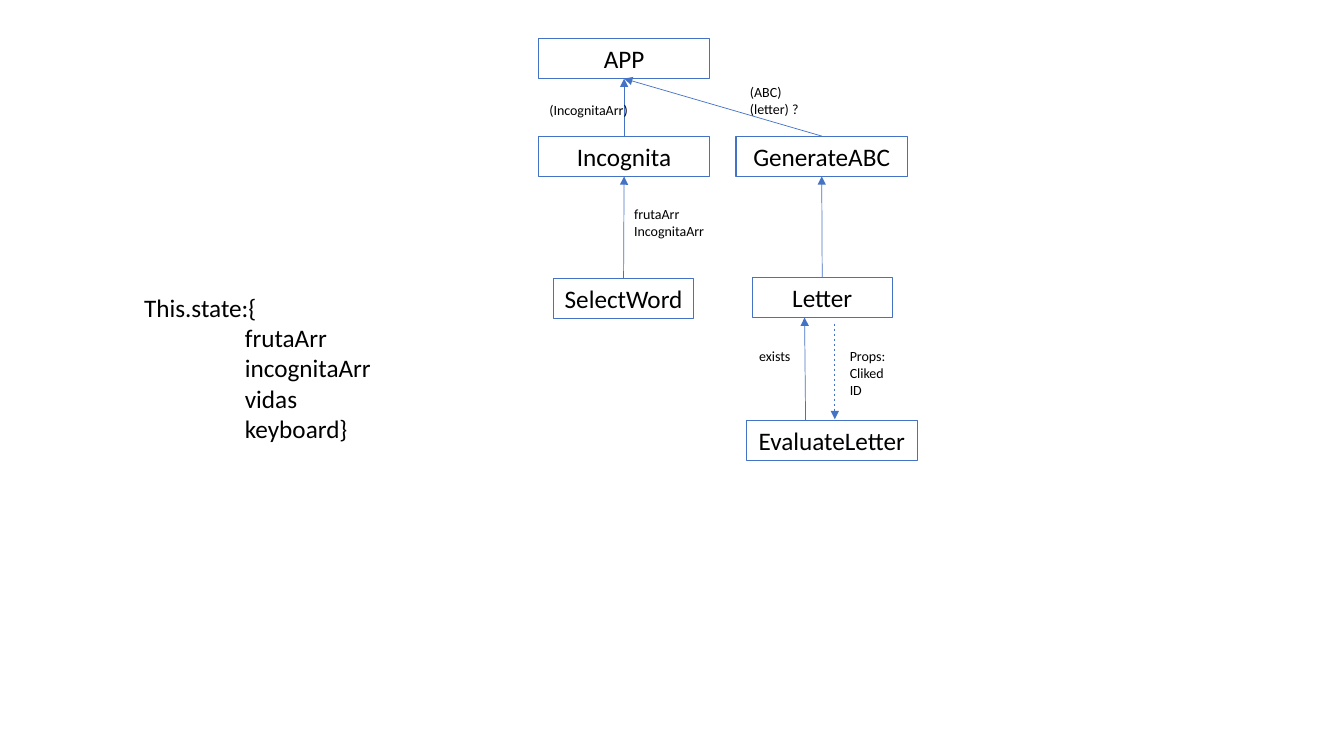
from dataclasses import dataclass

from lxml.etree import SubElement
from pptx import Presentation
from pptx.dml.color import RGBColor
from pptx.enum.dml import MSO_LINE
from pptx.enum.shapes import MSO_CONNECTOR, MSO_SHAPE
from pptx.enum.text import MSO_ANCHOR, PP_ALIGN
from pptx.oxml.ns import qn
from pptx.util import Inches, Pt

TOP, BOTTOM = 0, 2  # connection sites of a rectangle


@dataclass(frozen=True)
class Theme:
    font: str = "Calibri"
    text: RGBColor = RGBColor(0x00, 0x00, 0x00)
    accent: RGBColor = RGBColor(0x44, 0x72, 0xC4)
    body_size: Pt = Pt(18)
    label_size: Pt = Pt(10)
    box_line: Pt = Pt(0.75)
    arrow_line: Pt = Pt(0.5)


class Diagram:
    def __init__(self, slide, theme):
        self.slide = slide
        self.theme = theme

    def set_text(self, frame, lines, size, align=PP_ALIGN.LEFT):
        frame.word_wrap = True
        frame.text = "\n".join(lines)
        for paragraph in frame.paragraphs:
            paragraph.alignment = align
            paragraph.font.name = self.theme.font
            paragraph.font.size = size
            paragraph.font.color.rgb = self.theme.text

    def component(self, name, left, top, width=1.7):
        box = self.slide.shapes.add_shape(
            MSO_SHAPE.RECTANGLE, Inches(left), Inches(top), Inches(width), Inches(0.4))
        box.shadow.inherit = False
        box.fill.background()
        box.line.color.rgb = self.theme.accent
        box.line.width = self.theme.box_line
        box.text_frame.vertical_anchor = MSO_ANCHOR.TOP
        self.set_text(box.text_frame, [name], self.theme.body_size, PP_ALIGN.CENTER)
        return box

    def note(self, lines, left, top, width, height, size=None):
        note = self.slide.shapes.add_textbox(
            Inches(left), Inches(top), Inches(width), Inches(height))
        self.set_text(note.text_frame, lines, size or self.theme.label_size)
        return note

    def arrow(self, start=(0, 0), end=(0, 0), dashed=False):
        arrow = self.slide.shapes.add_connector(
            MSO_CONNECTOR.STRAIGHT, *(Inches(v) for v in (*start, *end)))
        arrow.line.color.rgb = self.theme.accent
        arrow.line.width = self.theme.arrow_line
        if dashed:
            arrow.line.dash_style = MSO_LINE.DASH
        properties = arrow._element.spPr
        SubElement(properties.find(qn("a:ln")), qn("a:tailEnd"), type="triangle")
        SubElement(properties, qn("a:effectLst"))
        return arrow

    def link(self, child, parent):
        arrow = self.arrow()
        arrow.begin_connect(child, TOP)
        arrow.end_connect(parent, BOTTOM)


def main():
    presentation = Presentation()
    presentation.slide_width = Inches(13.33)
    presentation.slide_height = Inches(7.5)
    slide = presentation.slides.add_slide(presentation.slide_layouts[6])
    theme = Theme()
    diagram = Diagram(slide, theme)

    # Component tree
    app = diagram.component("APP", 5.34, 0.38)
    incognita = diagram.component("Incognita", 5.34, 1.35)
    generate_abc = diagram.component("GenerateABC", 7.3, 1.35)
    select_word = diagram.component("SelectWord", 5.49, 2.76, 1.39)
    letter = diagram.component("Letter", 7.46, 2.75, 1.39)
    diagram.component("EvaluateLetter", 7.4, 4.17)

    # Links from child to parent
    for child, parent in ((incognita, app), (generate_abc, app),
                          (select_word, incognita), (letter, generate_abc)):
        diagram.link(child, parent)

    # Exchange between Letter and EvaluateLetter
    diagram.arrow((7.99, 4.17), (7.98, 3.15))
    diagram.arrow((8.28, 3.21), (8.28, 4.16), dashed=True)

    # Data passed along the links
    diagram.note(["(IncognitaArr)"], 5.35, 0.96, 1.1, 0.27)
    diagram.note(["(ABC)", "(letter) ?"], 7.34, 0.78, 1.1, 0.44)
    diagram.note(["frutaArr", "IncognitaArr"], 6.19, 1.99, 0.92, 0.44)
    diagram.note(["exists"], 7.43, 3.4, 0.52, 0.27)
    diagram.note(["Props:", "Cliked", "ID"], 8.33, 3.4, 0.73, 0.61)

    # State of the app, with its fields indented
    state = diagram.note(
        ["This.state:{", "frutaArr", "incognitaArr", "vidas", "keyboard}"],
        1.33, 2.85, 3.58, 1.92, theme.body_size)
    for field in state.text_frame.paragraphs[1:]:
        field._p.get_or_add_pPr().set("marL", str(Inches(1)))

    presentation.save("out.pptx")


if __name__ == "__main__":
    main()
